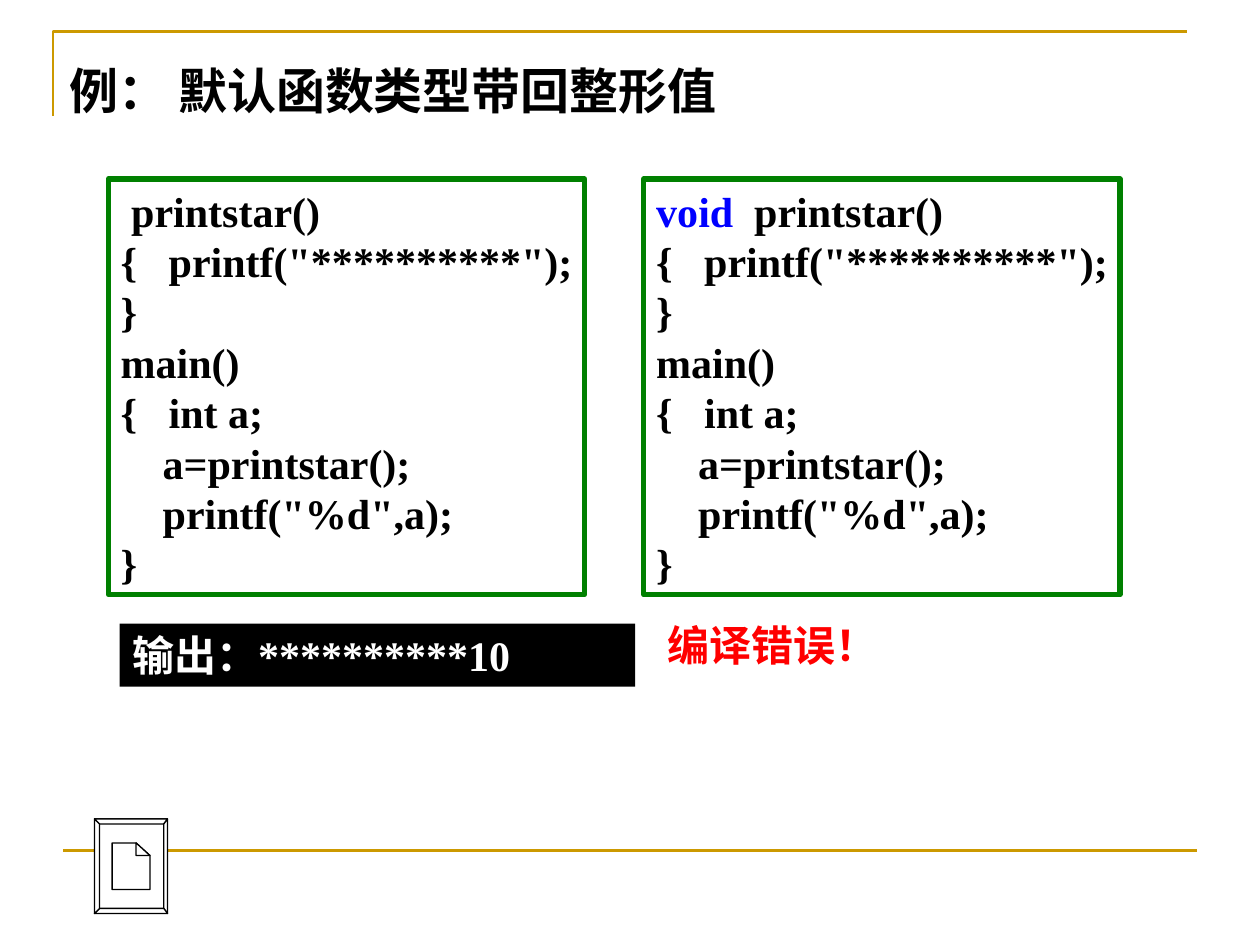
from dataclasses import dataclass

from pptx import Presentation
from pptx.dml.color import RGBColor
from pptx.enum import shapes, text
from pptx.oxml import ns
from pptx.util import Emu, Pt
from lxml import etree

EMU_PER_PX = 9144
LATIN_FONT = "Times New Roman"
CJK_FONT = "Noto Sans CJK SC"
GOLD, GREEN, BLUE, RED = "CC9900", "008000", "0000FF", "FF0000"
BLACK, WHITE = "000000", "FFFFFF"


@dataclass(frozen=True)
class Span:
    words: str
    colour: str = BLACK


@dataclass(frozen=True)
class Panel:
    left: int
    top: int
    width: int
    height: int
    lines: list[list[Span]]
    fill: str = WHITE
    border: str | None = None
    wrap: bool = True


SHARED_CODE = [[Span(line)] for line in (
    '{   printf("**********");',
    "}",
    "main()",
    "{   int a;",
    "    a=printstar();",
    '    printf("%d",a);',
    "}",
)]

PANELS = [
    Panel(86, 142, 378, 330, [[Span(" printstar()")], *SHARED_CODE],
          border=GREEN, wrap=False),
    Panel(95, 495, 409, 50, [[Span("输出：**********10", WHITE)]], fill=BLACK),
    Panel(511, 142, 378, 330,
          [[Span("void", BLUE), Span("  printstar()")], *SHARED_CODE],
          border=GREEN, wrap=False),
    Panel(520, 487, 195, 50, [[Span("编译错误！", RED)]]),
]

CORNER = [(42, 92), (42, 25), (942, 25)]
FRAME = [(75, 650), (133, 650), (133, 725), (75, 725)]
FACE = [(79, 654), (130, 654), (130, 721), (79, 721)]
BEVELS = [[FRAME[i], FRAME[(i + 1) % 4], FACE[(i + 1) % 4], FACE[i]] for i in range(4)]
SHEET = [(89, 669), (108, 669), (119, 679), (119, 706), (89, 706)]
FOLD = [(108, 669), (119, 679), (108, 679)]


def px(length: int) -> Emu:
    """Turn pixels into EMU."""
    return Emu(length * EMU_PER_PX)


def rgb(colour: str) -> RGBColor:
    """Turn a hex string into a colour."""
    return RGBColor.from_string(colour)


def paint(shape, fill: str | None, border: str | None, weight: float = 1) -> None:
    """Set fill and outline and drop the shadow."""
    shape.shadow.inherit = False
    if fill:
        shape.fill.solid()
        shape.fill.fore_color.rgb = rgb(fill)
    else:
        shape.fill.background()
    if border:
        shape.line.color.rgb = rgb(border)
        shape.line.width = Pt(weight)
    else:
        shape.line.fill.background()


def write(frame, lines: list[list[Span]], size: int, latin: str, wrap: bool) -> None:
    """Fill a text frame with bold, left-aligned lines."""
    frame.word_wrap = wrap
    frame.auto_size = text.MSO_AUTO_SIZE.NONE
    frame.vertical_anchor = text.MSO_ANCHOR.TOP
    frame.margin_left = frame.margin_right = px(10)
    frame.margin_top = frame.margin_bottom = px(5)
    for index, line in enumerate(lines):
        para = frame.add_paragraph() if index else frame.paragraphs[0]
        para.alignment = text.PP_ALIGN.LEFT
        para.line_spacing = Pt(size * 1.2)
        para.space_before = para.space_after = Pt(0)
        for span in line:
            run = para.add_run()
            run.text = span.words
            run.font.size, run.font.bold, run.font.name = Pt(size), True, latin
            run.font.color.rgb = rgb(span.colour)
            east_asian = etree.SubElement(run.font._element, ns.qn("a:ea"))
            east_asian.set("typeface", CJK_FONT)


def place(shape, left: int, top: int, width: int, height: int) -> None:
    """Move and size a shape."""
    shape.left, shape.top = px(left), px(top)
    shape.width, shape.height = px(width), px(height)


def draw_panel(page, panel: Panel) -> None:
    """Draw a rectangle holding text."""
    box = page.shapes.add_shape(
        shapes.MSO_SHAPE.RECTANGLE, px(panel.left), px(panel.top),
        px(panel.width), px(panel.height))
    paint(box, panel.fill, panel.border, 3)
    write(box.text_frame, panel.lines, 24, LATIN_FONT, panel.wrap)


def draw_outline(page, points: list[tuple[int, int]], fill: str | None,
                 border: str, weight: float, close: bool = True) -> None:
    """Draw a freeform through the points."""
    builder = page.shapes.build_freeform(*points[0], scale=EMU_PER_PX)
    builder.add_line_segments(points[1:], close=close)
    paint(builder.convert_to_shape(), fill, border, weight)


def draw_rule(page, left: int, right: int, top: int) -> None:
    """Draw the horizontal footer line."""
    rule = page.shapes.add_connector(
        shapes.MSO_CONNECTOR.STRAIGHT, px(left), px(top), px(right), px(top))
    rule.line.color.rgb = rgb(GOLD)
    rule.line.width = Pt(1.5)
    etree.SubElement(rule._element.spPr, ns.qn("a:effectLst"))


def main() -> None:
    """Build and save the slide."""
    deck = Presentation()
    deck.slide_width, deck.slide_height = px(1000), px(750)
    page = deck.slides.add_slide(deck.slide_layouts[5])
    title = page.shapes.title
    place(title, 45, 43, 544, 57)
    write(title.text_frame, [[Span("例： 默认函数类型带回整形值")]], 28, CJK_FONT, False)
    draw_outline(page, CORNER, None, GOLD, 1.5, close=False)
    draw_rule(page, 50, 950, 675)
    for panel in PANELS:
        draw_panel(page, panel)
    for points in (FRAME, *BEVELS, SHEET, FOLD):
        draw_outline(page, points, WHITE, BLACK, 0.75)
    deck.save("out.pptx")


if __name__ == "__main__":
    main()
